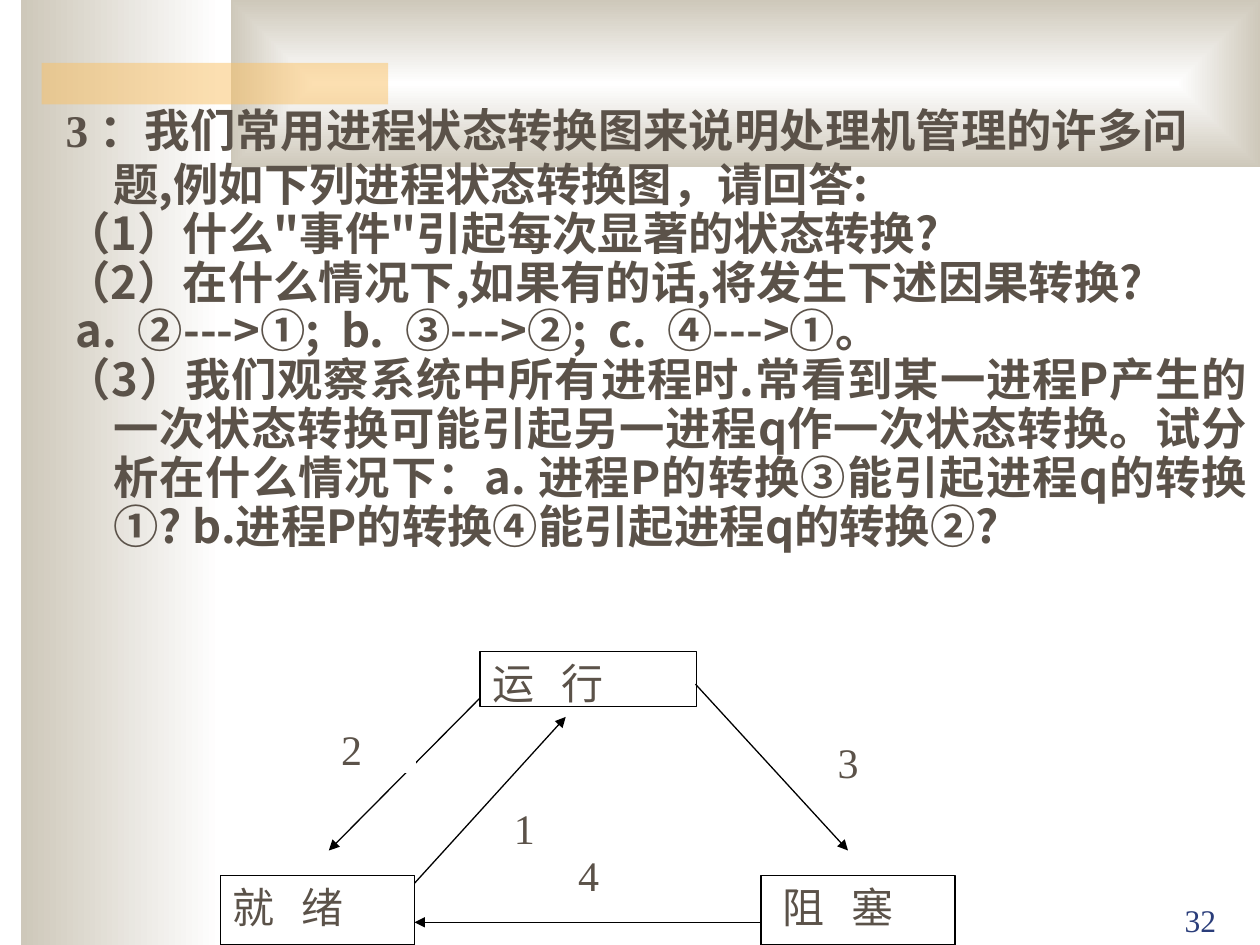
from lxml.etree import SubElement
from pptx import Presentation
from pptx.dml.color import RGBColor
from pptx.enum.shapes import MSO_CONNECTOR, MSO_SHAPE
from pptx.enum.text import MSO_ANCHOR, MSO_AUTO_SIZE, PP_ALIGN
from pptx.oxml import parse_xml
from pptx.oxml.ns import nsdecls, qn
from pptx.util import Inches, Pt

COLORS = {
    "white": "FFFFFF",
    "sand": "CEC8BA",
    "amber": "FAC164",
    "text": "5B5249",
    "line": "000000",
    "number": "2A3D7A",
}
SERIF = "Times New Roman"
SANS = "Noto Sans CJK SC"


class ProcessSlide:
    """Holds the style and the current slide and draws each kind of element."""

    def __init__(self, deck):
        self.page = deck.slides.add_slide(deck.slide_layouts[1])
        title = self.page.shapes.title
        title.element.getparent().remove(title.element)

    def color(self, name):
        return RGBColor.from_string(COLORS[name])

    def span(self, para, text, size=24, font=SERIF, color="text", bold=False):
        span = para.add_run()
        span.text = text
        span.font.size = Pt(size)
        span.font.bold = bold
        span.font.color.rgb = self.color(color)
        span.font.name = font
        SubElement(span.font._element, qn("a:ea"), typeface=SANS)
        return span

    def rectangle(self, left, top, width, height, fill=None, line=None):
        box = self.page.shapes.add_shape(
            MSO_SHAPE.RECTANGLE, Inches(left), Inches(top), Inches(width), Inches(height))
        box.shadow.inherit = False
        if fill:
            box.fill.solid()
            box.fill.fore_color.rgb = self.color(fill)
        if line:
            box.line.color.rgb = self.color(line)
            box.line.width = Pt(0.75)
        else:
            box.line.fill.background()
        return box

    def gradient(self, left, top, width, height, from_center=False):
        box = self.rectangle(left, top, width, height)
        box.fill.gradient()
        box.fill.gradient_angle = 180
        for stop, name, position in zip(box.fill.gradient_stops, ("white", "sand"), (0, 1)):
            stop.color.rgb = self.color(name)
            stop.position = position
        if from_center:
            linear = box.element.spPr.find(".//" + qn("a:lin"))
            linear.getparent().replace(linear, parse_xml(
                f'<a:path {nsdecls("a")} path="rect">'
                '<a:fillToRect l="50000" t="50000" r="50000" b="50000"/></a:path>'))

    def strip(self, left, top, width, height, fill, opacity):
        box = self.rectangle(left, top, width, height, fill)
        tint = box.element.spPr.find(".//" + qn("a:srgbClr"))
        SubElement(tint, qn("a:alpha"), val=str(opacity * 1000))

    def body(self, left, top, width, height, paragraphs):
        box = self.page.placeholders[1]
        self.page.shapes.element.append(box.element)
        box.left, box.top = Inches(left), Inches(top)
        box.width, box.height = Inches(width), Inches(height)
        frame = box.text_frame
        frame.auto_size = MSO_AUTO_SIZE.NONE
        for index, spans in enumerate(paragraphs):
            para = frame.add_paragraph() if index else frame.paragraphs[0]
            properties = para._p.get_or_add_pPr()
            properties.set("marL", str(Inches(0.38)))
            properties.set("indent", str(Inches(-0.38)))
            properties.set("hangingPunct", "0")
            SubElement(properties, qn("a:buNone"))
            para.space_before = Pt(0)
            para.line_spacing = 0.9 if index else 1.0
            para.alignment = PP_ALIGN.JUSTIFY if index else PP_ALIGN.LEFT
            for text, font in spans:
                self.span(para, text, 25.9, font, bold=True)

    def boxed_text(self, left, top, width, height, text, line="white", inset=0.1, spacing=0):
        box = self.rectangle(left, top, width, height, "white", line)
        frame = box.text_frame
        frame.word_wrap = True
        frame.vertical_anchor = MSO_ANCHOR.TOP
        frame.margin_left = Inches(inset)
        para = frame.paragraphs[0]
        para.alignment = PP_ALIGN.JUSTIFY
        span = self.span(para, text)
        if spacing:
            span.font._element.set("spc", str(spacing * 100))

    def state(self, left, top, width, height, text, inset=0.1):
        self.boxed_text(left, top, width, height, text, "line", inset, spacing=5)

    def arrow(self, start, end):
        line = self.page.shapes.add_connector(
            MSO_CONNECTOR.STRAIGHT, *(Inches(value) for value in start + end))
        line.line.color.rgb = self.color("line")
        line.line.width = Pt(0.75)
        SubElement(line.line._get_or_add_ln(), qn("a:tailEnd"), type="triangle")
        SubElement(line._element.spPr, qn("a:effectLst"))

    def page_number(self, left, top, width, height, text):
        box = self.page.shapes.add_textbox(
            Inches(left), Inches(top), Inches(width), Inches(height))
        box.text_frame.word_wrap = True
        box.text_frame.vertical_anchor = MSO_ANCHOR.BOTTOM
        para = box.text_frame.paragraphs[0]
        para.alignment = PP_ALIGN.RIGHT
        self.span(para, text, 18, color="number")


def main():
    deck = Presentation()
    deck.slide_width, deck.slide_height = Inches(10), Inches(7.5)
    slide = ProcessSlide(deck)

    slide.gradient(0.17, 0, 1.58, 7.5)
    slide.gradient(1.83, 0, 8.17, 1.33, from_center=True)
    slide.strip(0.33, 0.5, 2.75, 0.33, "amber", 50)

    slide.body(0.42, 0.76, 9.58, 4.91, [
        [("3 ：", SERIF),
         ("我们常用进程状态转换图来说明处理机管理的许多问题,例如下列进程状态转换图，请回答:", SANS)],
        [("（1）什么\"事件\"引起每次显著的状态转换?", SANS)],
        [("（2）在什么情况下,如果有的话,将发生下述因果转换?", SANS)],
        [(" a.  ②--->①;  b.  ③--->②;  c.  ④--->①。", SANS)],
        [("（3）我们观察系统中所有进程时.常看到某一进程P产生的一次状态转换可能引起另一进程q"
          "作一次状态转换。试分析在什么情况下：a. 进程P的转换③能引起进程q的转换①? "
          "b.进程P的转换④能引起进程q的转换②?", SANS)],
    ])

    slide.state(3.81, 5.17, 1.72, 0.44, "运 行")
    slide.state(1.75, 6.95, 1.54, 0.55, "就 绪")
    slide.state(6.04, 6.95, 1.54, 0.55, "阻 塞", inset=0.17)

    for start, end in (
        ((3.29, 7.01), (4.49, 5.69)),
        ((3.81, 5.54), (2.61, 6.75)),
        ((5.52, 5.43), (6.73, 6.75)),
        ((6.04, 7.32), (3.29, 7.32)),
    ):
        slide.arrow(start, end)

    for text, left, top, width in (
        ("1", 3.98, 6.32, 0.51),
        ("2", 2.61, 5.69, 0.69),
        ("3", 6.55, 5.8, 0.69),
        ("4", 4.49, 6.69, 0.69),
    ):
        slide.boxed_text(left, top, width, 0.44, text)

    slide.page_number(8.75, 7, 1, 0.5, "32")
    deck.save("out.pptx")


if __name__ == "__main__":
    main()
